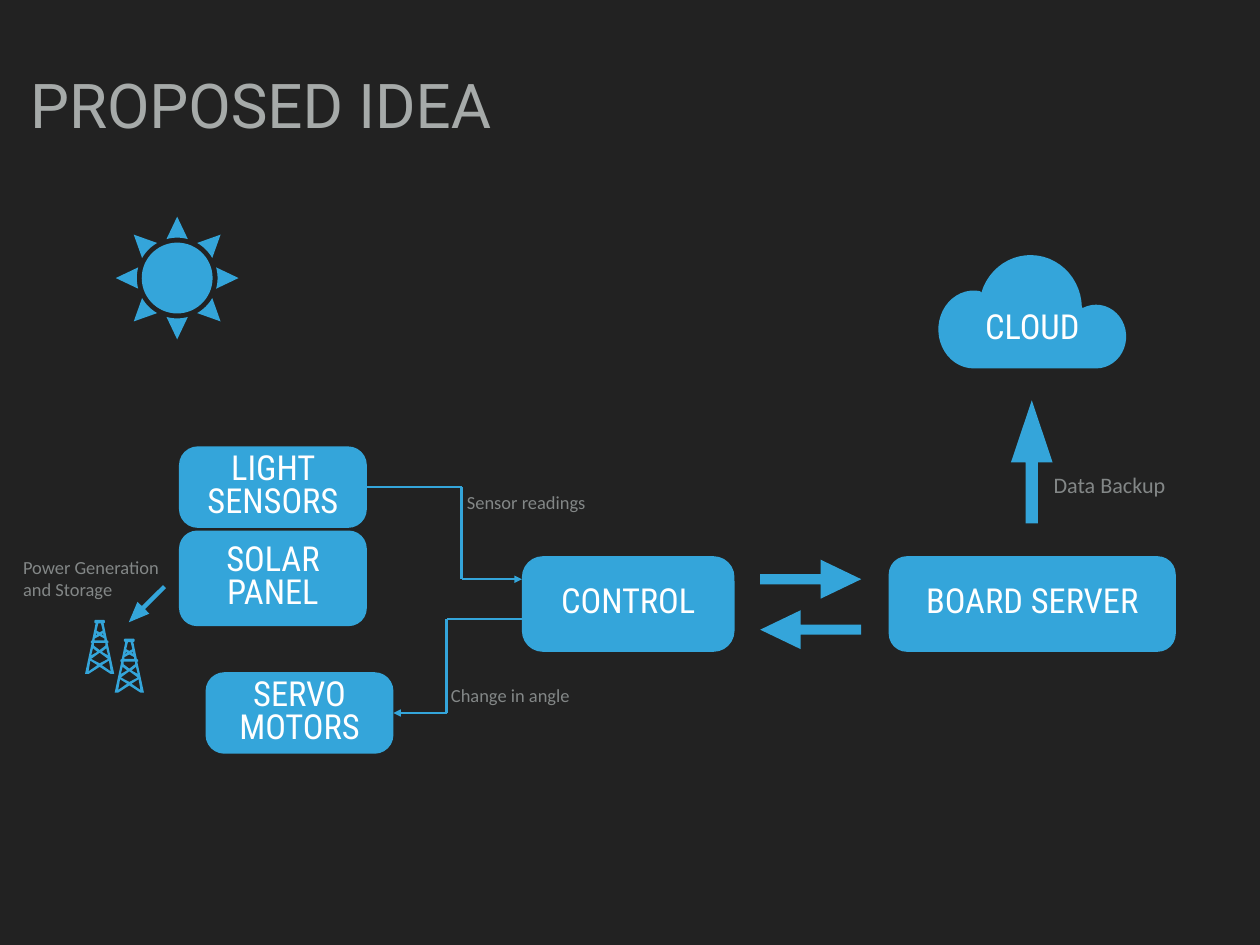
import math

import pptx
import pptx.dml.color
import pptx.enum.shapes
import pptx.enum.text
import pptx.oxml
import pptx.util

COLORS = {
    "page": "222222",
    "accent": "34A5DA",
    "white": "FFFFFF",
    "title": "A6AAA9",
    "label": "838787",
}
PRESETS = pptx.enum.shapes.MSO_SHAPE
ALIGN = pptx.enum.text.PP_ALIGN
ANCHOR = pptx.enum.text.MSO_ANCHOR
CELL = pptx.util.Inches(0.1)
COLUMNS, ROWS = 142.2, 106.7
RIGHT = 3

TOWER_SIDE = [(0, 0), (0.5, 0), (0.6, 0.1), (0.6, 0.3), (0.45, 0.4), (0.85, 2.3),
              (1, 2.4), (1, 2.6), (0.9, 2.6), (1.65, 6.1), (1.25, 6.1), (0, 5.3)]
MIDDLE_GAPS = [
    [(0, 0.4), (0.15, 0.4), (0.35, 1.2), (0, 1.4)],
    [(0, 1.8), (0.55, 2.1), (0.55, 2.3), (0, 2.3)],
    [(0, 2.6), (0.65, 2.6), (0.65, 2.9), (0, 3.4)],
    [(0, 3.7), (0.95, 4.4), (0, 4.9)],
]
SIDE_GAPS = [
    [(0.35, 1.5), (0.5, 1.8), (0.25, 1.6)],
    [(0.75, 3.2), (0.95, 4), (0.25, 3.6)],
    [(1.05, 4.6), (1.25, 5.8), (0.25, 5.1)],
]


def cells(count):
    return pptx.util.Emu(round(count * CELL))


def arc(x, y, across, down, start, end, steps=24):
    angles = [math.radians(start + (end - start) * step / steps) for step in range(steps + 1)]
    return [(x + across * math.cos(angle), y + down * math.sin(angle)) for angle in angles]


def mirror(points):
    return [(-x, y) for x, y in reversed(points)]


class Diagram:
    def __init__(self):
        self.deck = pptx.Presentation()
        self.deck.slide_width = cells(COLUMNS)
        self.deck.slide_height = cells(ROWS)
        self.page = self.deck.slides.add_slide(self.deck.slide_layouts[6])
        self.paint(self.page.background.fill, "page")

    def paint(self, fill, color):
        fill.solid()
        fill.fore_color.rgb = pptx.dml.color.RGBColor.from_string(COLORS[color])

    def finish(self, shape):
        shape.shadow.inherit = False
        self.paint(shape.fill, "accent")
        shape.line.fill.background()
        return shape

    def set_text(self, shape, text, size, font, color, align=ALIGN.LEFT,
                 anchor=ANCHOR.MIDDLE, spacing=None, top=0.6):
        frame = shape.text_frame
        frame.text = text
        frame.word_wrap = True
        frame.vertical_anchor = anchor
        frame.margin_left = frame.margin_right = frame.margin_bottom = cells(0.6)
        frame.margin_top = cells(top)
        para = frame.paragraphs[0]
        para.alignment = align
        para.line_spacing = spacing
        for span in para.runs:
            span.font.size = pptx.util.Pt(size)
            span.font.name = font
            self.paint(span.font.fill, color)

    def caption(self, shape, text, top=0.6):
        self.set_text(shape, text, 28, "Roboto Condensed", "white", ALIGN.CENTER,
                      spacing=0.8, top=top)

    def preset(self, kind, place, adjustments, turn=0):
        shape = self.page.shapes.add_shape(kind, *map(cells, place))
        for index, value in enumerate(adjustments):
            shape.adjustments[index] = value
        shape.rotation = turn
        return self.finish(shape)

    def block(self, text, place, rounding):
        box = self.preset(PRESETS.ROUNDED_RECTANGLE, place, [rounding])
        self.caption(box, text)
        return box

    def label(self, text, place, size=15, font="Calibri", color="label", **layout):
        box = self.page.shapes.add_textbox(*map(cells, place))
        self.set_text(box, text, size, font, color, **layout)

    def outline(self, contours):
        builder = None
        for contour in contours:
            points = [(cells(x), cells(y)) for x, y in contour]
            if builder is None:
                builder = self.page.shapes.build_freeform(*points[0], scale=1.0)
            else:
                builder.move_to(*points[0])
            builder.add_line_segments(points[1:], close=True)
        return self.finish(builder.convert_to_shape())

    def route(self, points, begin=None, end=None):
        legs = list(zip(points, points[1:]))
        for index, (start, stop) in enumerate(legs):
            last = index == len(legs) - 1
            line = self.page.shapes.add_connector(
                pptx.enum.shapes.MSO_CONNECTOR.STRAIGHT, *map(cells, start + stop))
            self.paint(line.line.fill, "accent")
            line.line.width = pptx.util.Pt(2)
            properties = line._element.spPr
            if last:
                head = pptx.oxml.parse_xml(
                    '<a:tailEnd xmlns:a="http://schemas.openxmlformats.org/'
                    'drawingml/2006/main" type="triangle"/>')
                properties.ln.append(head)
            properties.append(pptx.oxml.parse_xml(
                '<a:effectLst xmlns:a="http://schemas.openxmlformats.org/'
                'drawingml/2006/main"/>'))
            if begin and index == 0:
                line.begin_connect(*begin)
            if end and last:
                line.end_connect(*end)

    def sun(self, x, y):
        contours = [arc(x, y, 4, 4, 0, 360, 60)]
        for angle in range(0, 360, 45):
            tip = arc(x, y, 6.93, 6.93, angle, angle, 1)[:1]
            contours.append(tip + arc(x, y, 4.56, 4.56, angle + 15.3, angle - 15.3, 8))
        self.outline(contours)

    def cloud(self, text):
        box = self.outline([
            arc(116.3, 34.8, 5.8, 6, 197, 359)
            + arc(123.7, 38, 3.4, 3.6, 244, 450)
            + arc(109.9, 37.2, 4, 4.4, 90, 280)])
        self.caption(box, text, top=4.6)

    def tower(self, x, y):
        contours = [TOWER_SIDE + mirror(TOWER_SIDE)]
        contours += [gap + mirror(gap) for gap in MIDDLE_GAPS]
        contours += SIDE_GAPS + [mirror(gap) for gap in SIDE_GAPS]
        self.outline([[(x + across, y + down) for across, down in contour]
                      for contour in contours])


def main():
    diagram = Diagram()
    diagram.label("PROPOSED IDEA", (2.8, 7.2, 61.9, 9.2), 50.2, "Roboto", "title",
                  anchor=ANCHOR.BOTTOM, spacing=0.8)
    diagram.sun(20, 31.4)
    diagram.cloud("CLOUD")

    diagram.block("SOLAR PANEL", (20.2, 59.9, 21.2, 10.8), 0.19)
    sensors = diagram.block("LIGHT SENSORS", (20.2, 50.4, 21.2, 9.2), 0.23)
    motors = diagram.block("SERVO MOTORS", (23.2, 75.9, 21.2, 9.2), 0.23)
    diagram.block("CONTROL", (58.9, 62.8, 24, 10.8), 0.22)
    diagram.block("BOARD SERVER", (100.3, 62.8, 32.4, 10.8), 0.19)

    diagram.route([(41.4, 55), (52.1, 55), (52.1, 65.4), (58.9, 65.4)],
                  begin=(sensors, RIGHT))
    diagram.route([(58.9, 69.9), (50.4, 69.9), (50.4, 80.5), (44.4, 80.5)],
                  end=(motors, RIGHT))

    diagram.preset(PRESETS.UP_ARROW, (114.1, 45.2, 4.7, 13.9), [0.29, 1.49])
    diagram.preset(PRESETS.RIGHT_ARROW, (85.8, 63.2, 11.4, 4.4), [0.26, 1.04])
    diagram.preset(PRESETS.LEFT_ARROW, (85.8, 68.9, 11.4, 4.4), [0.26, 1.04])
    diagram.preset(PRESETS.LEFT_ARROW, (13.7, 67.3, 5.7, 1.9), [0.26, 1.23], 315)
    for x, y in [(11.25, 70), (14.6, 72.1)]:
        diagram.tower(x, y)

    diagram.label("Sensor readings", (52.1, 54.8, 16.7, 3.9))
    diagram.label("Data Backup", (118.3, 52.4, 18.5, 4.6), 18)
    diagram.label("Change in angle", (50.3, 76.2, 17.6, 4.6))
    diagram.label("Power Generation and Storage", (2, 61.9, 18.5, 6.7))
    diagram.deck.save("out.pptx")


if __name__ == "__main__":
    main()
